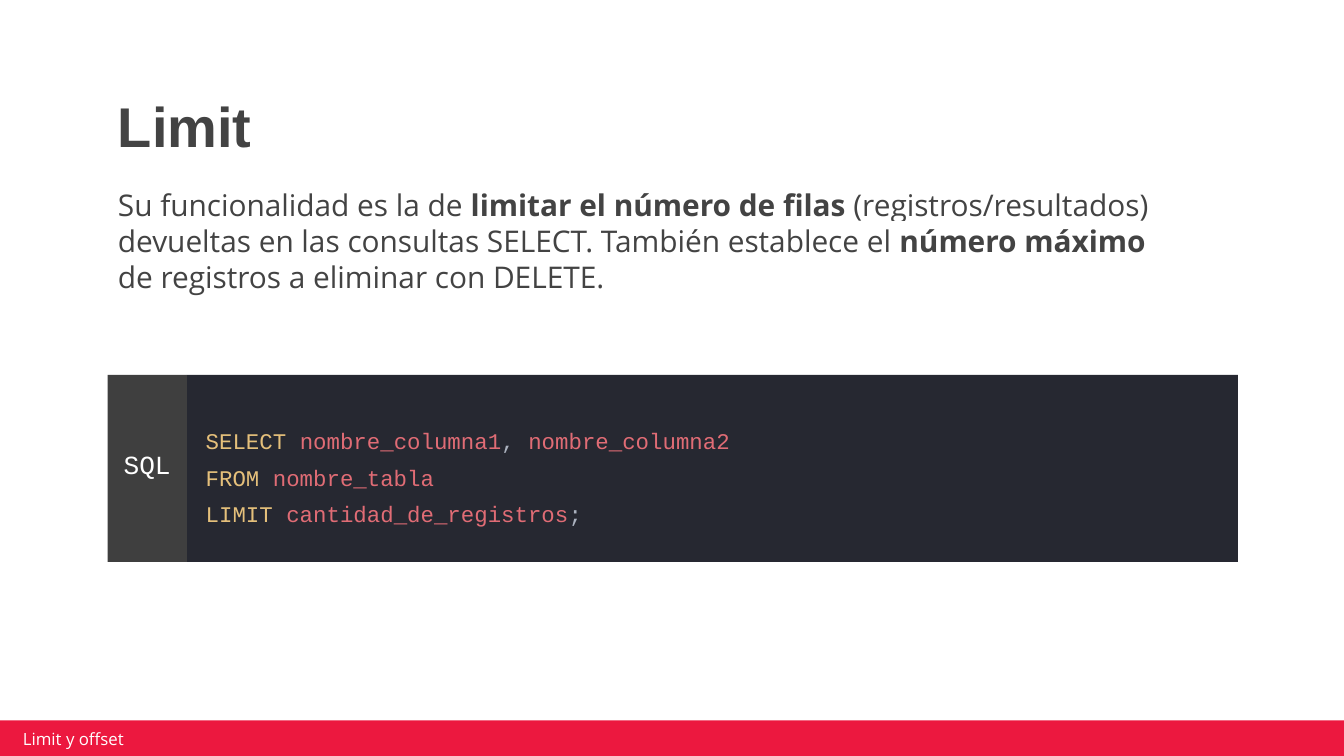
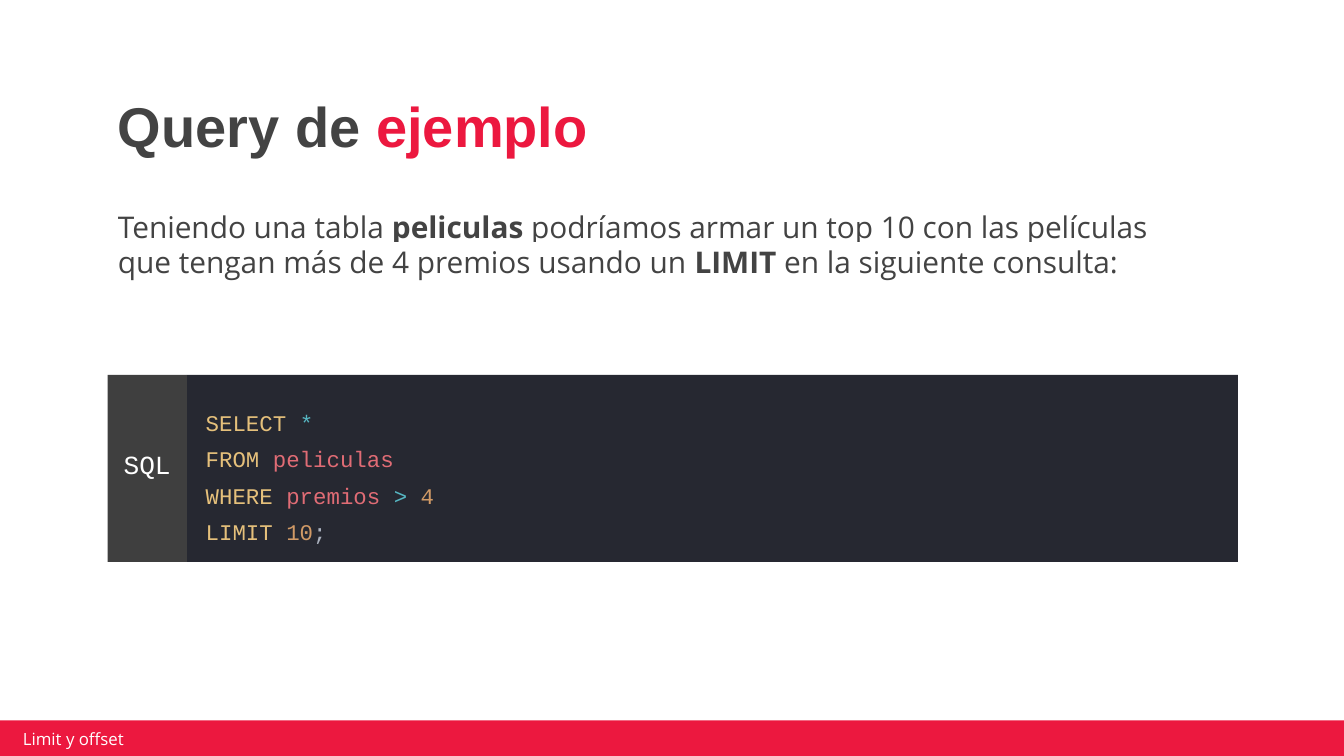
from lxml import etree
from pptx import Presentation
from pptx.dml.color import RGBColor
from pptx.enum.shapes import MSO_SHAPE
from pptx.enum.text import MSO_ANCHOR, PP_ALIGN
from pptx.oxml.ns import qn
from pptx.util import Inches, Pt

RECTANGLE = MSO_SHAPE.RECTANGLE
TOP, MIDDLE, BOTTOM = MSO_ANCHOR.TOP, MSO_ANCHOR.MIDDLE, MSO_ANCHOR.BOTTOM
LEFT, CENTER = PP_ALIGN.LEFT, PP_ALIGN.CENTER

WHITE = RGBColor(0xFF, 0xFF, 0xFF)
RED = RGBColor(0xEC, 0x18, 0x3F)
DARK_GRAY = RGBColor(0x43, 0x43, 0x43)
LABEL_GRAY = RGBColor(0x3F, 0x3F, 0x3F)
EDITOR = RGBColor(0x26, 0x28, 0x31)
KEYWORD = RGBColor(0xE5, 0xC0, 0x7B)
NAME = RGBColor(0xE0, 0x6C, 0x75)
PUNCTUATION = RGBColor(0xAB, 0xB2, 0xBF)
OPERATOR = RGBColor(0x56, 0xB6, 0xC2)
NUMBER = RGBColor(0xD1, 0x9A, 0x66)

TITLE_FONT, BODY_FONT, CODE_FONT = "Arial", "Open Sans", "Courier New"
SLIDE_WIDTH = 10
SLIDE_HEIGHT = SLIDE_WIDTH * 9 / 16
CODE_TOP, CODE_HEIGHT = 2.79, 1.39
LABEL_LEFT, LABEL_WIDTH, CODE_WIDTH = 0.8, 0.59, 7.82


def highlight(run, color):
    mark = etree.Element(qn("a:highlight"))
    etree.SubElement(mark, qn("a:srgbClr"), val=str(color))
    run.font._rPr.find(qn("a:solidFill")).addnext(mark)


def write(shape, lines, *, font, size, color=DARK_GRAY, bold=False, anchor=TOP,
          align=LEFT, insets=(0.1, 0.1, 0.1, 0.1), spacing=None, before=None,
          marker=None):
    frame = shape.text_frame
    frame.word_wrap = True
    frame.vertical_anchor = anchor
    (frame.margin_left, frame.margin_top,
     frame.margin_right, frame.margin_bottom) = map(Inches, insets)
    for index, line in enumerate(lines):
        paragraph = frame.add_paragraph() if index else frame.paragraphs[0]
        paragraph.alignment = align
        paragraph.line_spacing = spacing
        paragraph.space_before = before
        for text, style in line:
            run = paragraph.add_run()
            run.text = text
            run.font.name = font
            run.font.size = Pt(size)
            run.font.bold = style.get("bold", bold)
            run.font.color.rgb = style.get("color", color)
            if marker is not None:
                highlight(run, marker)


def add_text(slide, box, lines, **style):
    write(slide.shapes.add_textbox(*map(Inches, box)), lines, **style)


def add_block(shapes, box, color):
    block = shapes.add_shape(RECTANGLE, *map(Inches, box))
    block.shadow.inherit = False
    block.fill.solid()
    block.fill.fore_color.rgb = color
    block.line.fill.background()
    return block


def add_footer(slide):
    add_block(slide.shapes, (-0.02, 5.36, 10.03, 0.27), RED)
    add_text(slide, (0.12, 5.42, 2.39, 0.15), [[("Limit y offset", {})]],
             font=BODY_FONT, size=9, color=WHITE, anchor=MIDDLE,
             insets=(0.05, 0.02, 0.05, 0.02))


def add_title(slide, runs):
    add_text(slide, (0.78, 0.6, 8.43, 0.69), [runs], font=TITLE_FONT, size=30,
             bold=True, anchor=BOTTOM, spacing=0.9)


def add_explanation(slide, top, parts):
    runs = [(text, {"bold": index % 2 == 1}) for index, text in enumerate(parts)]
    add_text(slide, (0.78, top, 8.04, 0.74), [runs], font=BODY_FONT, size=16,
             before=Pt(6), marker=WHITE)


def add_query(slide, query):
    panel = slide.shapes.add_group_shape().shapes
    editor = add_block(panel, (LABEL_LEFT + LABEL_WIDTH, CODE_TOP,
                               CODE_WIDTH, CODE_HEIGHT), EDITOR)
    lines = [[(text, {"color": color}) for text, color in line] for line in query]
    write(editor, lines, font=CODE_FONT, size=12, anchor=MIDDLE, spacing=1.36,
          insets=(0.14, 0.16, 0.1, 0.1))
    language = add_block(panel, (LABEL_LEFT, CODE_TOP, LABEL_WIDTH, CODE_HEIGHT),
                         LABEL_GRAY)
    write(language, [[("SQL", {})]], font=CODE_FONT, size=14, color=WHITE,
          anchor=MIDDLE, align=CENTER, insets=(0.1, 0.04, 0.1, 0.1))


def add_lesson(deck, title, explanation_top, explanation, query):
    slide = deck.slides.add_slide(deck.slide_layouts[6])
    slide.background.fill.solid()
    slide.background.fill.fore_color.rgb = WHITE
    add_footer(slide)
    add_title(slide, title)
    add_explanation(slide, explanation_top, explanation)
    add_query(slide, query)


def main():
    deck = Presentation()
    deck.slide_width = Inches(SLIDE_WIDTH)
    deck.slide_height = Inches(SLIDE_HEIGHT)
    add_lesson(
        deck, [("Limit", {})], 1.29,
        ["Su funcionalidad es la de ", "limitar el número de filas",
         " (registros/resultados) devueltas en las consultas SELECT. "
         "También establece el ", "número máximo",
         " de registros a eliminar con DELETE."],
        [[("SELECT ", KEYWORD), ("nombre_columna1", NAME), (", ", PUNCTUATION),
          ("nombre_columna2", NAME)],
         [("FROM ", KEYWORD), ("nombre_tabla", NAME)],
         [("LIMIT ", KEYWORD), ("cantidad_de_registros", NAME),
          (";", PUNCTUATION)]])
    add_lesson(
        deck, [("Query de ", {}), ("ejemplo", {"color": RED})], 1.45,
        ["Teniendo una tabla ", "peliculas ",
         "podríamos armar un top 10 con las películas que tengan más de "
         "4 premios usando un ", "LIMIT", " en la siguiente consulta:"],
        [[("SELECT ", KEYWORD), ("*", OPERATOR)],
         [("FROM ", KEYWORD), ("peliculas", NAME)],
         [("WHERE ", KEYWORD), ("premios ", NAME), ("> ", OPERATOR),
          ("4", NUMBER)],
         [("LIMIT ", KEYWORD), ("10", NUMBER), (";", PUNCTUATION)]])
    deck.save("out.pptx")


if __name__ == "__main__":
    main()
